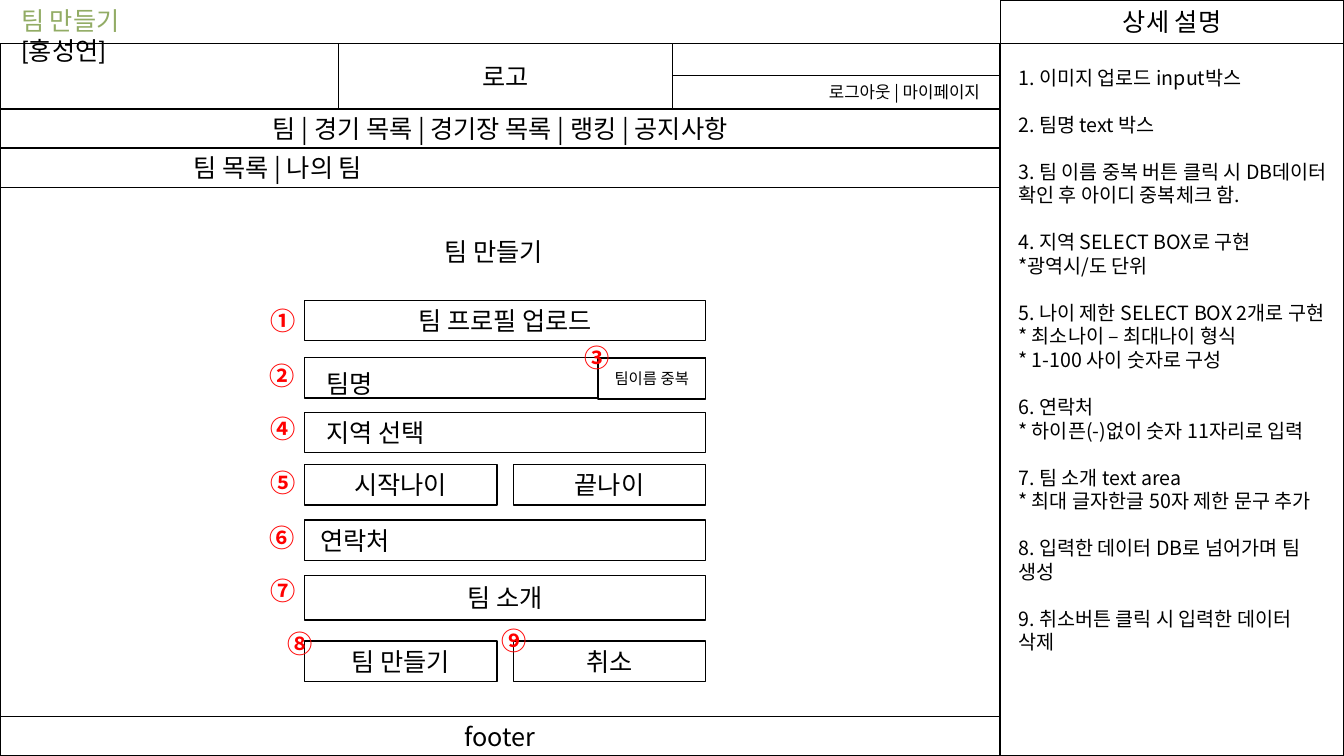
from pptx import Presentation
from pptx.dml.color import RGBColor as RGB
from pptx.enum.shapes import MSO_SHAPE as Shape
from pptx.enum.text import MSO_ANCHOR as Anchor, MSO_AUTO_SIZE as AutoSize, PP_ALIGN as Align
from pptx.oxml.ns import qn
from pptx.util import Pt
from lxml.etree import SubElement

PX = 9144
THEME = {
    "ink": RGB(0, 0, 0),
    "paper": RGB(255, 255, 255),
    "marker": RGB(255, 0, 0),
    "heading": RGB(0x92, 0xAC, 0x65),
    "font": "Noto Sans CJK KR",
    "accent_font": "Lato",
    "large": 18,
    "notes": 14,
    "links": 12,
    "button": 11,
    "leading": 1.2,
}


def write(holder, text, size="large", color="ink", align=Align.LEFT,
          anchor=Anchor.TOP, left=10, right=10, bold=False):
    frame = holder.text_frame
    frame.text = text
    frame.word_wrap = True
    frame.auto_size = AutoSize.NONE
    frame.vertical_anchor = anchor
    frame.margin_left, frame.margin_right = left * PX, right * PX
    frame.margin_top = frame.margin_bottom = 5 * PX
    for paragraph in frame.paragraphs:
        paragraph.alignment = align
        paragraph.line_spacing = Pt(THEME[size] * THEME["leading"])
        paragraph.space_before = paragraph.space_after = Pt(0)
        for run in paragraph.runs:
            run.font.size = Pt(THEME[size])
            run.font.bold = bold
            run.font.color.rgb = THEME[color]
            run.font.name = THEME["font"]
            SubElement(run._r.get_or_add_rPr(), qn("a:ea")).set("typeface", THEME["font"])


def place(holder, left, top, width, height):
    holder.left, holder.top = left * PX, top * PX
    holder.width, holder.height = width * PX, height * PX


deck = Presentation()
deck.slide_width, deck.slide_height = 1333 * PX, 750 * PX
slide = deck.slides.add_slide(deck.slide_layouts[1])
shapes = slide.shapes

PAGE, FIELD, FULL, HALF, SECOND = 992, 302, 398, 191, 509
CENTER = {"align": Align.CENTER}
boxes = [
    (PAGE, 43, 341, 707, "", {}),
    (PAGE, 0, 341, 43, "상세 설명", CENTER),
    (0, 43, PAGE, 104, "", {}),
    (336, 43, 331, 65, "로고", CENTER),
    (0, 108, PAGE, 39, "팀 | 경기 목록 | 경기장 목록 | 랭킹 | 공지사항", CENTER),
    (667, 75, 325, 33, "로그아웃 | 마이페이지", {"size": "links", "align": Align.RIGHT, "right": 20}),
    (0, 711, PAGE, 39, "footer", CENTER),
    (0, 147, PAGE, 564, "", {}),
    (0, 147, PAGE, 39, "팀 목록 | 나의 팀", {"left": 192}),
    (FIELD, 298, FULL, 40, "팀 프로필 업로드", CENTER),
    (FIELD, 355, FULL, 40, "", {}),
    (593, 355, 107, 41, "팀이름 중복", {"size": "button", "align": Align.CENTER}),
    (FIELD, 409, FULL, 40, "지역 선택", {"left": 22}),
    (FIELD, 461, HALF, 40, "시작나이", CENTER),
    (SECOND, 461, HALF, 40, "끝나이", CENTER),
    (FIELD, 516, FULL, 40, "연락처", {"left": 16}),
    (FIELD, 571, FULL, 44, "팀 소개", CENTER),
    (FIELD, 636, HALF, 40, "팀 만들기", CENTER),
    (SECOND, 636, HALF, 40, "취소", CENTER),
]
for left, top, width, height, label, style in boxes:
    box = shapes.add_shape(Shape.RECTANGLE, left * PX, top * PX, width * PX, height * PX)
    box.shadow.inherit = False
    box.fill.solid()
    box.fill.fore_color.rgb = THEME["paper"]
    box.line.color.rgb = THEME["ink"]
    box.line.width = Pt(1)
    if label:
        write(box, label, anchor=Anchor.MIDDLE, **style)

for left, top, width, label in [(431, 230, 129, "팀 만들기"), (314, 360, 270, "팀명")]:
    write(shapes.add_textbox(left * PX, top * PX, width * PX, 40 * PX), label)

markers = [
    ("①", 258, 298), ("②", 257, 353), ("③", 570, 335),
    ("④", 258, 405), ("⑤", 258, 459), ("⑥", 257, 513),
    ("⑦", 258, 566), ("⑧", 275, 618), ("⑨", 488, 615),
]
for number, left, top in markers:
    marker = shapes.add_textbox(left * PX, top * PX, 34 * PX, 40 * PX)
    write(marker, number, color="marker", bold=True)

heading = shapes.title
place(heading, 11, 0, 208, 70)
write(heading, "팀 만들기\v[홍성연]", color="heading")
author = heading.text_frame.paragraphs[0].runs[1]
author.font.name = THEME["accent_font"]
author.font.color.rgb = THEME["ink"]

descriptions = [
    ["1. 이미지 업로드 input박스"],
    ["2. 팀명 text 박스"],
    ["3. 팀 이름 중복 버튼 클릭 시 DB데이터 확인 후 아이디 중복체크 함."],
    ["4. 지역 SELECT BOX로 구현", "*광역시/도 단위"],
    ["5. 나이 제한 SELECT BOX 2개로 구현", "* 최소나이 – 최대나이 형식", "* 1-100 사이 숫자로 구성"],
    ["6. 연락처", "* 하이픈(-)없이 숫자 11자리로 입력"],
    ["7. 팀 소개 text area", "* 최대 글자한글 50자 제한 문구 추가"],
    ["8. 입력한 데이터 DB로 넘어가며 팀 생성"],
    ["9. 취소버튼 클릭 시 입력한 데이터 삭제"],
]
details = slide.placeholders[1]
place(details, 1000, 60, 329, 690)
write(details, "\n".join(line for item in descriptions for line in item), size="notes")
for index, paragraph in enumerate(details.text_frame.paragraphs):
    properties = paragraph._p.get_or_add_pPr()
    properties.set("marL", "0")
    properties.set("indent", "0")
    SubElement(properties, qn("a:buNone"))
    if index and not paragraph.text.startswith("*"):
        paragraph.space_before = Pt(THEME["notes"] * THEME["leading"])

for front in (heading, details):
    shapes._spTree.append(front._element)

deck.save("out.pptx")
